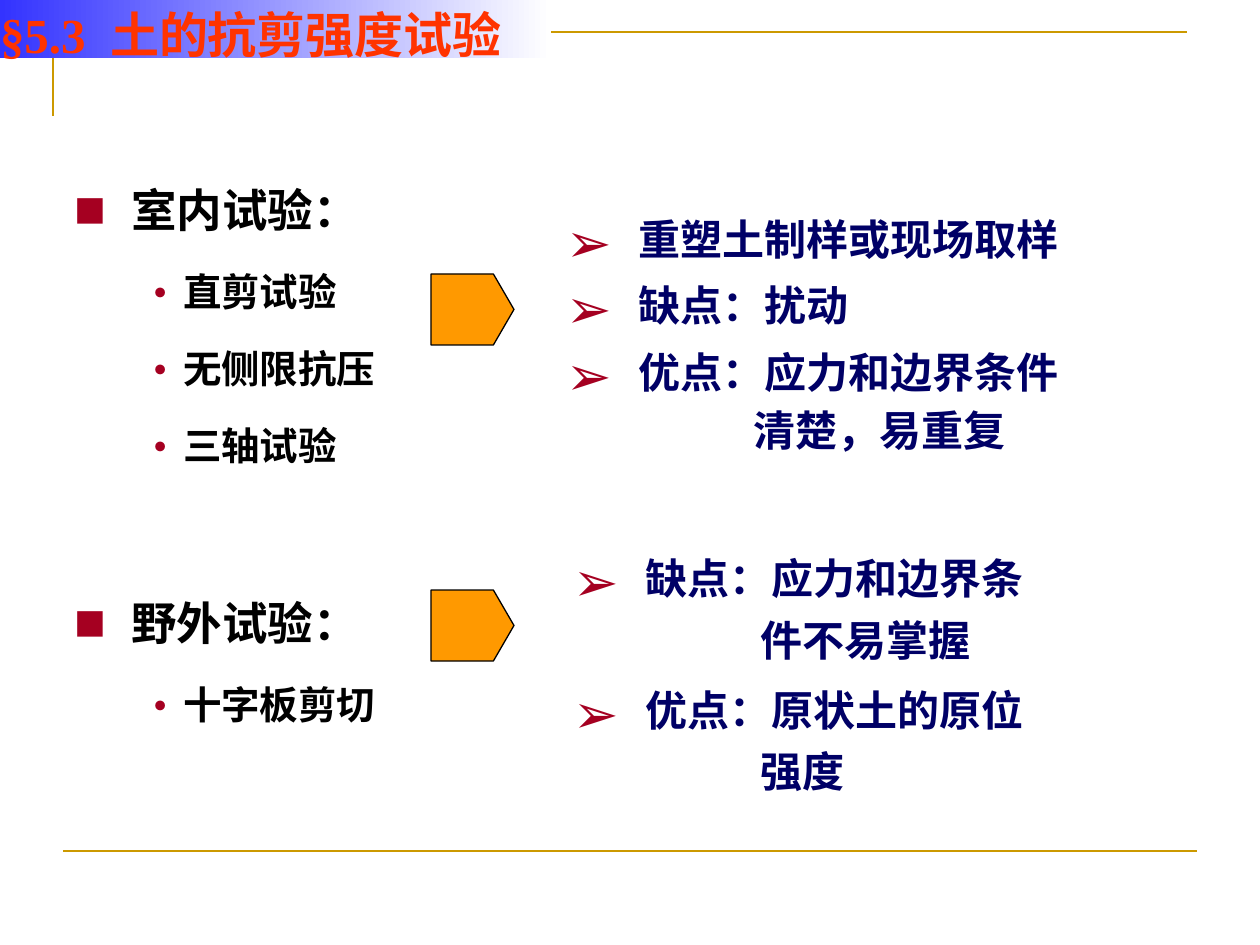
from lxml import etree
from pptx import Presentation
from pptx.dml.color import RGBColor
from pptx.enum.shapes import MSO_CONNECTOR, MSO_SHAPE
from pptx.enum.text import MSO_ANCHOR, PP_ALIGN
from pptx.oxml.ns import qn
from pptx.util import Emu, Pt

PLATE, RECT = MSO_SHAPE.PENTAGON, MSO_SHAPE.RECTANGLE
STRAIGHT = MSO_CONNECTOR.STRAIGHT
TOP, LEFT = MSO_ANCHOR.TOP, PP_ALIGN.LEFT
SCALE = 914400 / 126  # EMU in one px

THEME = {
    "gold": "CC9900", "ink": "000000", "navy": "000066", "mark": "A50021",
    "title": "FF3300", "plate": "FF9900", "fade": ("3333FF", "FFFFFF"),
    "sans": "Noto Sans CJK SC", "serif": "Times New Roman",
    "big": 28, "head": 26, "note": 24, "item": 22,
}

# Text levels: margin and hang in px, bullet with its size in percent
HEAD = {"margin": 57, "hang": 57, "bullet": ("■", 70), "size": "head"}
ITEM = {"margin": 102, "hang": 39, "bullet": ("•", 120), "size": "item"}
NOTE = {"margin": 73, "hang": 73, "bullet": ("➢", 130), "size": "note"}
MORE = {"margin": 188, "hang": 0, "bullet": None, "size": "note"}


def px(n):
    return Emu(round(n * SCALE))


def color(name):
    return RGBColor.from_string(THEME.get(name, name))


def put(obj, values):
    for key, value in values.items():
        setattr(obj, key, value)


def add(parent, tag, **attrs):
    return etree.SubElement(parent, qn(tag), attrs)


def style(run, face, size, ink):
    put(run.font, {"name": THEME[face], "size": Pt(THEME[size]), "bold": True})
    run.font.color.rgb = color(ink)
    add(run.font._element, "a:ea", typeface=THEME["sans"])


def stroke(line, width, ink):
    line.width = Pt(width)
    line.color.rgb = color(ink)


def setup(frame, wrap):
    put(frame, {"word_wrap": wrap, "vertical_anchor": TOP, "margin_left": 0,
                "margin_top": 0, "margin_right": 0, "margin_bottom": 0})


def level(para, kind):
    props = para._p.get_or_add_pPr()
    props.set("marL", str(px(kind["margin"])))
    props.set("indent", str(-px(kind["hang"])))
    if kind["bullet"]:
        sign, size = kind["bullet"]
        tint = add(props, "a:buClr")
        add(tint, "a:srgbClr", val=THEME["mark"])
        add(props, "a:buSzPct", val=str(size * 1000))
        add(props, "a:buFont", typeface=THEME["sans"])
        add(props, "a:buChar", char=sign)


def column(slide, box, rows, face, ink, pitch):
    """Rows are (level, space before in pt, text)."""
    frame = slide.shapes.add_textbox(*map(px, box)).text_frame
    setup(frame, True)
    for i, (kind, gap, text) in enumerate(rows):
        para = frame.add_paragraph() if i else frame.paragraphs[0]
        level(para, kind)
        put(para, {"line_spacing": Pt(pitch), "space_before": Pt(gap),
                   "alignment": LEFT})
        run = para.add_run()
        run.text = text
        style(run, face, kind["size"], ink)


def rules(slide, box):
    x, y, w, h = box
    # Corner rule at the top left
    build = slide.shapes.build_freeform(x, y + 84, scale=SCALE)
    build.add_line_segments([(x, y), (x + w, y)], close=False)
    corner = build.convert_to_shape()
    corner.shadow.inherit = False
    corner.fill.background()
    stroke(corner.line, 1.5, "gold")
    # Rule at the foot
    foot = slide.shapes.add_connector(
        STRAIGHT, *map(px, (x + 10, y + h, x + w + 10, y + h)))
    add(foot._element.spPr, "a:effectLst")
    stroke(foot.line, 1.5, "gold")


def plate(slide, box):
    shape = slide.shapes.add_shape(PLATE, *map(px, box))
    shape.shadow.inherit = False
    shape.adjustments[0] = 0.29
    shape.fill.solid()
    shape.fill.fore_color.rgb = color("plate")
    stroke(shape.line, 0.75, "ink")


def banner(slide, box, number, title):
    shape = slide.shapes.add_shape(RECT, *map(px, box))
    shape.shadow.inherit = False
    shape.line.fill.background()
    shape.fill.gradient()
    shape.fill.gradient_angle = 0
    for stop, tint in zip(shape.fill.gradient_stops, THEME["fade"]):
        stop.color.rgb = color(tint)
    setup(shape.text_frame, False)
    para = shape.text_frame.paragraphs[0]
    put(para, {"alignment": LEFT, "line_spacing": Pt(37)})
    for text in (number, " ", title):
        run = para.add_run()
        run.text = text
        style(run, "serif", "big", "title")
        if text == " ":
            run.font._element.set("spc", "700")  # wider gap after the number


def main():
    deck = Presentation()
    put(deck, {"slide_width": px(1260), "slide_height": px(945)})
    slide = deck.slides.add_slide(deck.slide_layouts[6])

    rules(slide, (53, 32, 1134, 819))

    # Kinds of test
    column(slide, (74, 167, 450, 570), [
        (HEAD, 0, "室内试验："),
        (ITEM, 4, "直剪试验"),
        (ITEM, 4, "无侧限抗压"),
        (ITEM, 4, "三轴试验"),
        (HEAD, 64, "野外试验："),
        (ITEM, 4, "十字板剪切"),
    ], "sans", "ink", 40)

    # Pros and cons of each kind
    column(slide, (566, 206, 580, 250), [
        (NOTE, 0, "重塑土制样或现场取样"),
        (NOTE, 5, "缺点：扰动"),
        (NOTE, 5, "优点：应力和边界条件"),
        (MORE, 0, "清楚，易重复"),
    ], "serif", "navy", 33)
    column(slide, (573, 542, 490, 260), [
        (NOTE, 0, "缺点：应力和边界条"),
        (MORE, 0, "件不易掌握"),
        (NOTE, 5, "优点：原状土的原位"),
        (MORE, 0, "强度"),
    ], "serif", "navy", 35)

    for y in (274, 590):
        plate(slide, (431, y, 83, 71))

    banner(slide, (0, -1, 551, 59), "§5.3", "土的抗剪强度试验")
    deck.save("out.pptx")


if __name__ == "__main__":
    main()
